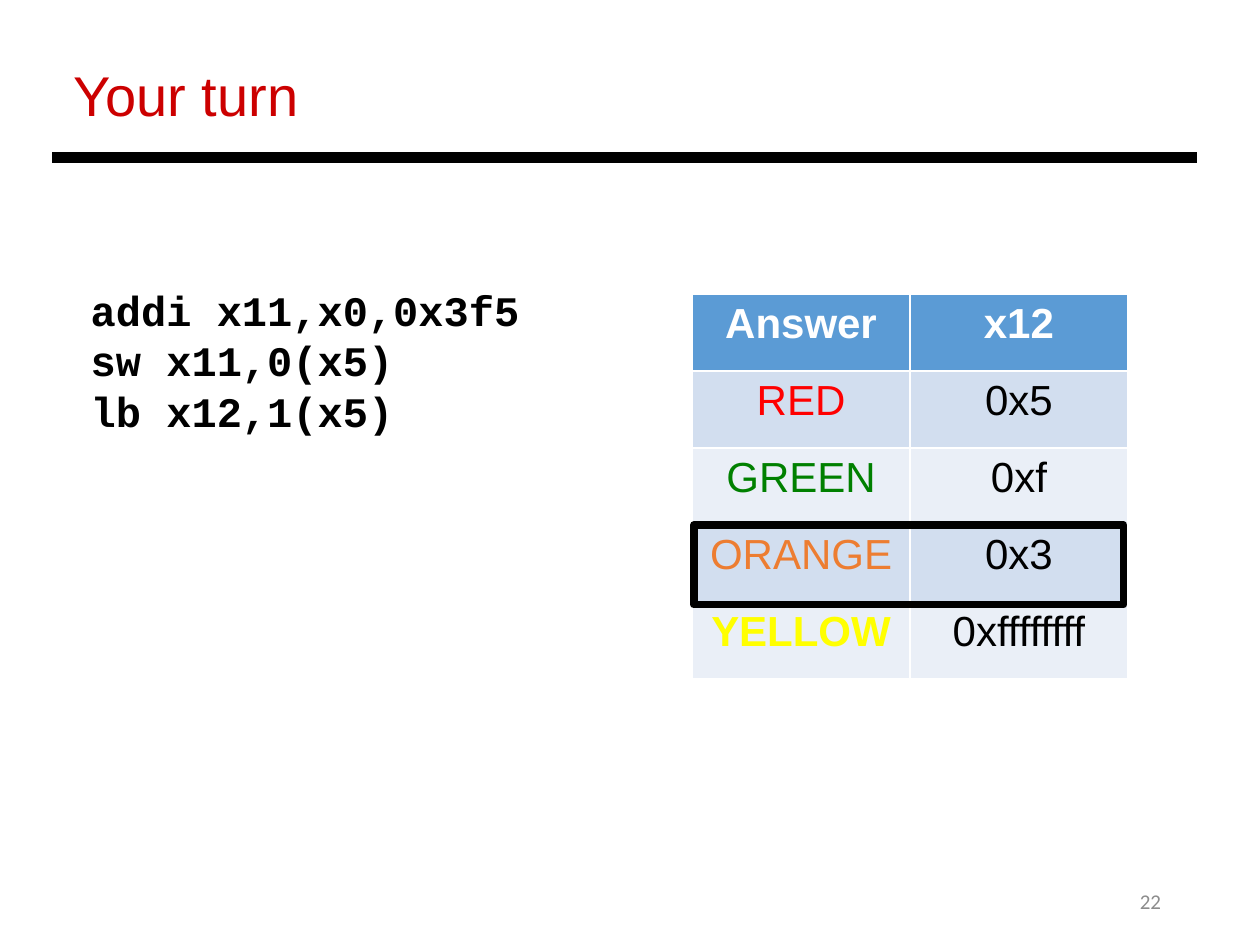
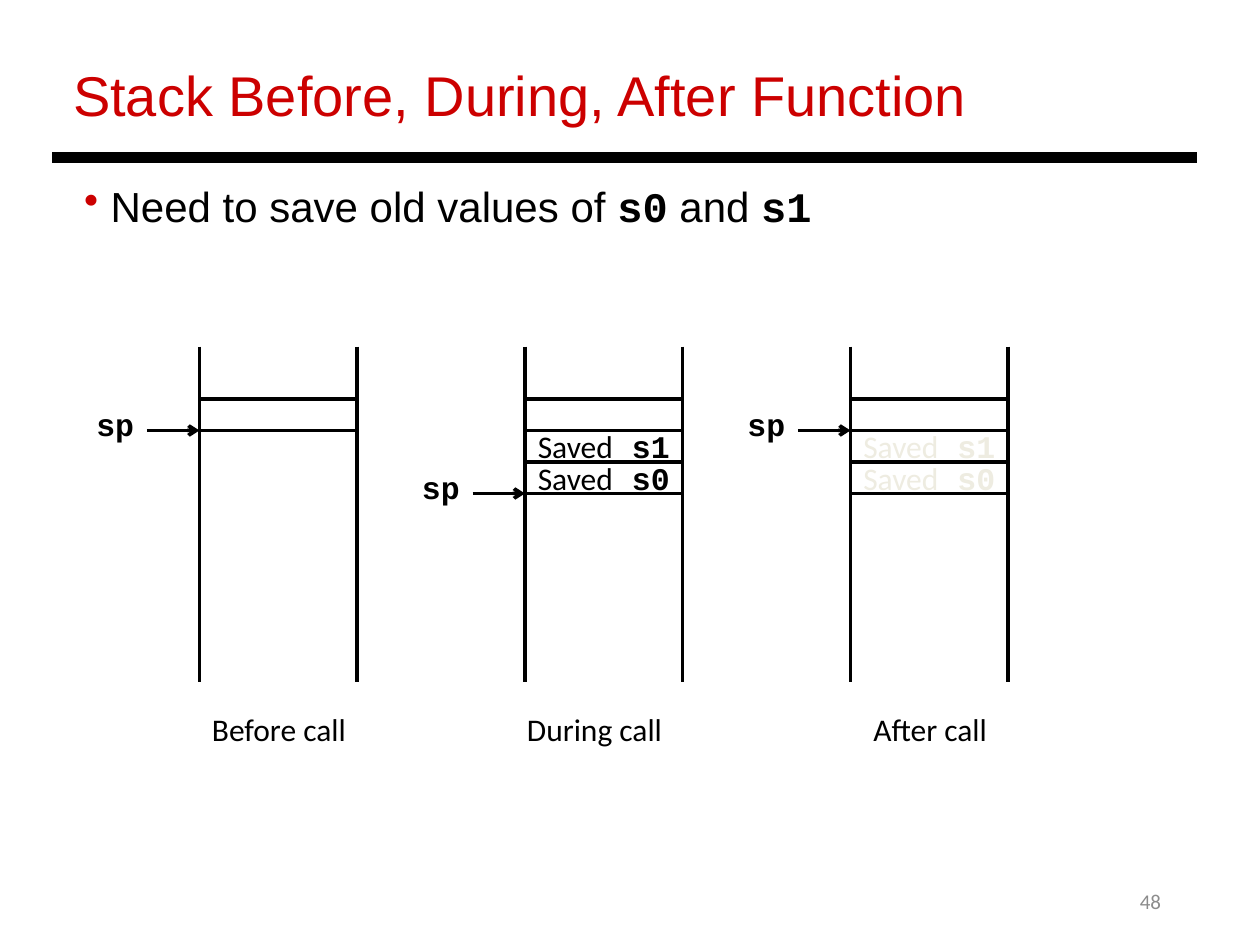
from pptx import Presentation
from pptx.dml.color import RGBColor
from pptx.enum.shapes import MSO_CONNECTOR, MSO_SHAPE
from pptx.enum.text import MSO_ANCHOR, MSO_AUTO_SIZE, PP_ALIGN
from pptx.oxml import parse_xml
from pptx.oxml.ns import nsdecls
from pptx.util import Pt

LEFT, CENTER, RIGHT = PP_ALIGN.LEFT, PP_ALIGN.CENTER, PP_ALIGN.RIGHT
TOP, MIDDLE = MSO_ANCHOR.TOP, MSO_ANCHOR.MIDDLE
FIT = MSO_AUTO_SIZE.SHAPE_TO_FIT_TEXT
STRAIGHT, RECT = MSO_CONNECTOR.STRAIGHT, MSO_SHAPE.RECTANGLE

BLACK = RGBColor(0x00, 0x00, 0x00)
WHITE = RGBColor(0xFF, 0xFF, 0xFF)
TITLE_RED = RGBColor(0xCC, 0x00, 0x00)
NUMBER_GRAY = RGBColor(0x8C, 0x8C, 0x8C)
FADED = RGBColor(0xEE, 0xEC, 0xE1)
HEADER_BLUE = RGBColor(0x5B, 0x9B, 0xD5)
BANDS = RGBColor(0xD2, 0xDE, 0xEF), RGBColor(0xEA, 0xEF, 0xF7)
RED = RGBColor(0xFF, 0x00, 0x00)
GREEN = RGBColor(0x00, 0x80, 0x00)
ORANGE = RGBColor(0xED, 0x7D, 0x31)
YELLOW = RGBColor(0xFF, 0xFF, 0x00)
OUTLINE = RGBColor(0x3A, 0x52, 0x74)

SANS, BODY, MONO = "Arial", "Calibri", "Courier New"
CODE = dict(font=MONO, bold=True)

# Content: (title, title width, slide number)
QUIZ = ("Your turn", 144, 22)
STACK = ("Stack Before, During, After Function", 529, 48)

PROGRAM = ["addi x11,x0,0x3f5", "sw x11,0(x5)", "lb x12,1(x5)"]
HEADER = ["Answer", "x12"]
ANSWERS = [
    ("RED", "0x5", dict(color=RED)),
    ("GREEN", "0xf", dict(color=GREEN)),
    ("ORANGE", "0x3", dict(color=ORANGE)),
    ("YELLOW", "0xffffffff", dict(color=YELLOW, bold=True, outline=OUTLINE)),
]
CORRECT_ROW = 3

SAVE_NOTE = [(" Need to save old values of ", {}), ("s0", CODE), (" and ", {}), ("s1", CODE)]
SAVED = ["s1", "s0"]
# (caption, caption left, caption width, cells above sp, colour of saved values)
STACKS = [
    ("Before call", 114, 93, 1, None),
    ("During call", 294, 93, 3, BLACK),
    ("After call", 492, 81, 1, FADED),
]

# Layout
TABLE_LEFT, TABLE_TOP, COL_W, ROW_H = 395.5, 168, 124.5, 44
STACK_LEFT, STACK_STEP, STACK_W = 114, 186, 90
STACK_TOP, STACK_BOTTOM = 198, 390
CELL_TOP, CELL_H = 228, 18
ARROW_W, SP_W = 30, 36


def write(tf, *lines, size=18, font=SANS, color=BLACK, bold=False, outline=None,
          align=LEFT, bullet=None):
    """Fill a text frame; a line is a string or a list of (text, format overrides)."""
    for i, line in enumerate(lines):
        p = tf.add_paragraph() if i else tf.paragraphs[0]
        p.alignment = align
        if bullet is not None:
            pPr = p._p.get_or_add_pPr()
            pPr.append(parse_xml(f'<a:buClr {nsdecls("a")}><a:srgbClr val="{bullet}"/></a:buClr>'))
            pPr.append(parse_xml(f'<a:buChar {nsdecls("a")} char="•"/>'))
        for text, changes in [(line, {})] if isinstance(line, str) else line:
            r = p.add_run()
            r.text = text
            r.font.size = Pt(size)
            r.font.name = changes.get("font", font)
            r.font.bold = changes.get("bold", bold)
            r.font.color.rgb = color
            if outline is not None:
                r._r.get_or_add_rPr().insert(0, parse_xml(
                    f'<a:ln {nsdecls("a")} w="{Pt(1)}"><a:solidFill>'
                    f'<a:srgbClr val="{outline}"/></a:solidFill></a:ln>'))


def add_text(s, x, y, w, h, *lines, wrap=False, anchor=TOP, **fmt):
    tf = s.shapes.add_textbox(Pt(x), Pt(y), Pt(w), Pt(h)).text_frame
    tf.word_wrap = wrap
    tf.vertical_anchor = anchor
    if anchor == TOP:
        tf.auto_size = FIT
    write(tf, *lines, **fmt)


def add_line(s, x1, y1, x2, y2, width=2, arrow=False):
    line = s.shapes.add_connector(STRAIGHT, Pt(x1), Pt(y1), Pt(x2), Pt(y2))
    line.line.color.rgb = BLACK
    line.line.width = Pt(width)
    if arrow:
        line.line._get_or_add_ln().append(parse_xml(f'<a:tailEnd {nsdecls("a")} type="arrow"/>'))
    line._element.spPr.append(parse_xml(f'<a:effectLst {nsdecls("a")}/>'))


def add_box(s, x, y, w, h, fill=None, width=2):
    sp = s.shapes.add_shape(RECT, Pt(x), Pt(y), Pt(w), Pt(h))
    sp.shadow.inherit = False
    if fill is None:
        sp.fill.background()
    else:
        sp.fill.solid()
        sp.fill.fore_color.rgb = fill
    sp.line.color.rgb = BLACK
    sp.line.width = Pt(width)
    return sp


def add_slide(prs, title, title_width, number):
    """Add a slide with the shared title, rule and number."""
    s = prs.slides.add_slide(prs.slide_layouts[6])
    add_text(s, 508.5, 500.5, 162, 28.75, str(number), wrap=True, anchor=MIDDLE,
             size=12, font=BODY, color=NUMBER_GRAY, align=RIGHT)
    add_text(s, 34.75, 31, title_width, 46, title, size=32, color=TITLE_RED)
    add_line(s, 30, 90, 684, 90, width=6)
    return s


def fill_cell(cell, text, fill, **fmt):
    cell.fill.solid()
    cell.fill.fore_color.rgb = fill
    write(cell.text_frame, text, size=24, align=CENTER, **fmt)


def build_quiz(prs):
    s = add_slide(prs, *QUIZ)
    add_text(s, 44.75, 159, 639, 94.5, *PROGRAM, wrap=True, size=24, **CODE)
    rows, cols = len(ANSWERS) + 1, len(HEADER)
    table = s.shapes.add_table(rows, cols, Pt(TABLE_LEFT), Pt(TABLE_TOP),
                               Pt(COL_W * cols), Pt(ROW_H * rows)).table
    for col in table.columns:
        col.width = Pt(COL_W)
    for row in table.rows:
        row.height = Pt(ROW_H)
    for c, name in enumerate(HEADER):
        fill_cell(table.cell(0, c), name, HEADER_BLUE, color=WHITE, bold=True)
    for i, (answer, value, fmt) in enumerate(ANSWERS):
        band = BANDS[i % 2]
        fill_cell(table.cell(i + 1, 0), answer, band, **fmt)
        fill_cell(table.cell(i + 1, 1), value, band)
    add_box(s, TABLE_LEFT + 1, TABLE_TOP + CORRECT_ROW * ROW_H, 245.5, 45.5, width=4.5)


def add_stack(s, x, caption, caption_left, caption_width, cells_above_sp, saved_color):
    for side in (x, x + STACK_W):
        add_line(s, side, STACK_TOP, side, STACK_BOTTOM)
    sp_y = CELL_TOP + cells_above_sp * CELL_H
    add_line(s, x - ARROW_W, sp_y, x, sp_y, arrow=True)
    add_text(s, x - ARROW_W - SP_W, sp_y - CELL_H, SP_W, 29, "sp", **CODE)
    add_box(s, x, CELL_TOP, STACK_W, CELL_H, WHITE)
    if saved_color is not None:
        for i, register in enumerate(SAVED, start=1):
            tf = add_box(s, x, CELL_TOP + i * CELL_H, STACK_W, CELL_H, WHITE).text_frame
            tf.word_wrap = False
            tf.vertical_anchor = MIDDLE
            write(tf, [("Saved", {}), (f" {register}", CODE)],
                  font=BODY, color=saved_color, align=CENTER)
    add_text(s, caption_left, 402, caption_width, 29, caption, font=BODY)


def build_stack(prs):
    s = add_slide(prs, *STACK)
    add_text(s, 41, 99.5, 663, 36, SAVE_NOTE, wrap=True, size=24, bullet=TITLE_RED)
    for i, stack in enumerate(STACKS):
        add_stack(s, STACK_LEFT + i * STACK_STEP, *stack)


def main():
    prs = Presentation()
    prs.slide_width, prs.slide_height = Pt(720), Pt(540)
    build_quiz(prs)
    build_stack(prs)
    prs.save("out.pptx")


if __name__ == "__main__":
    main()
